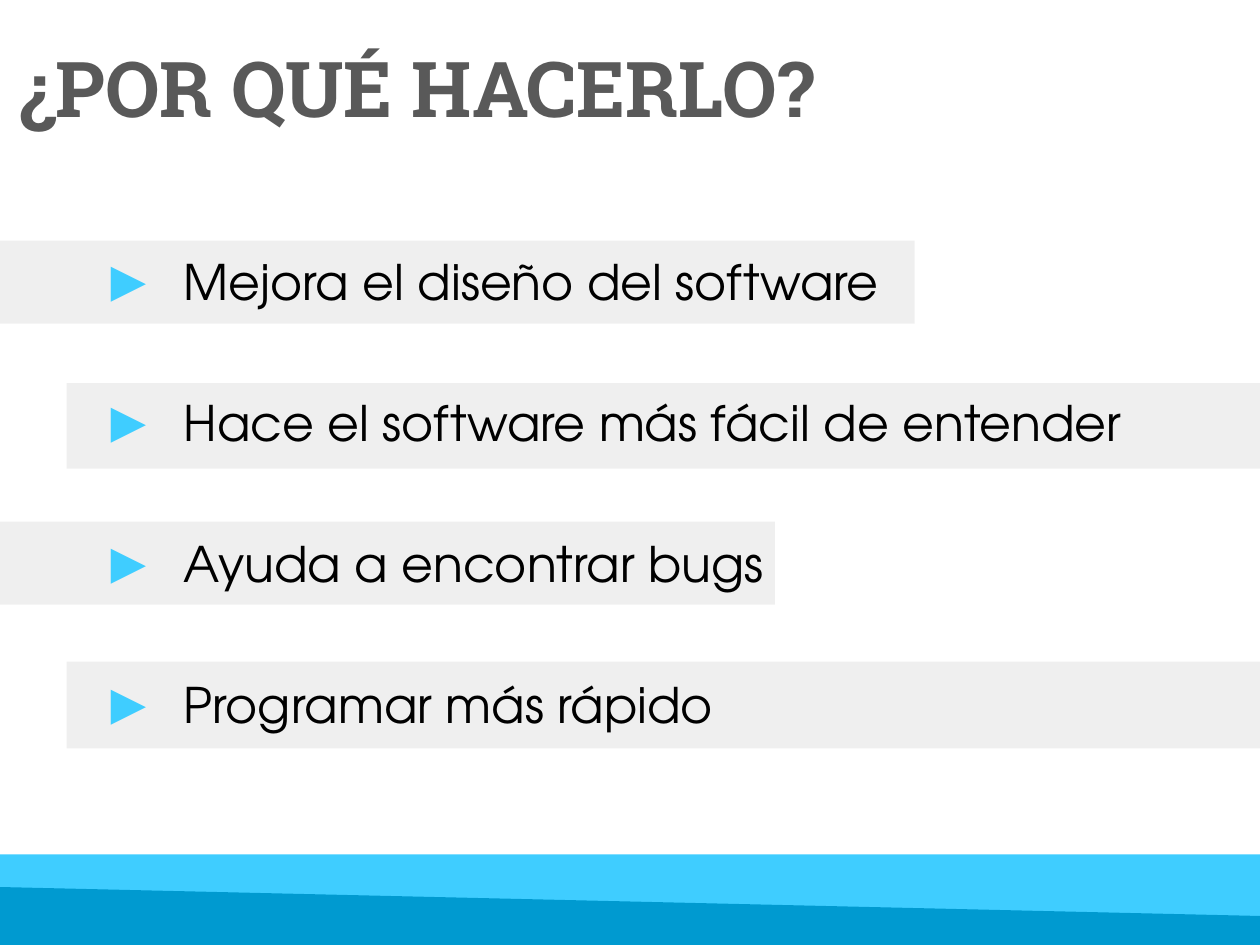
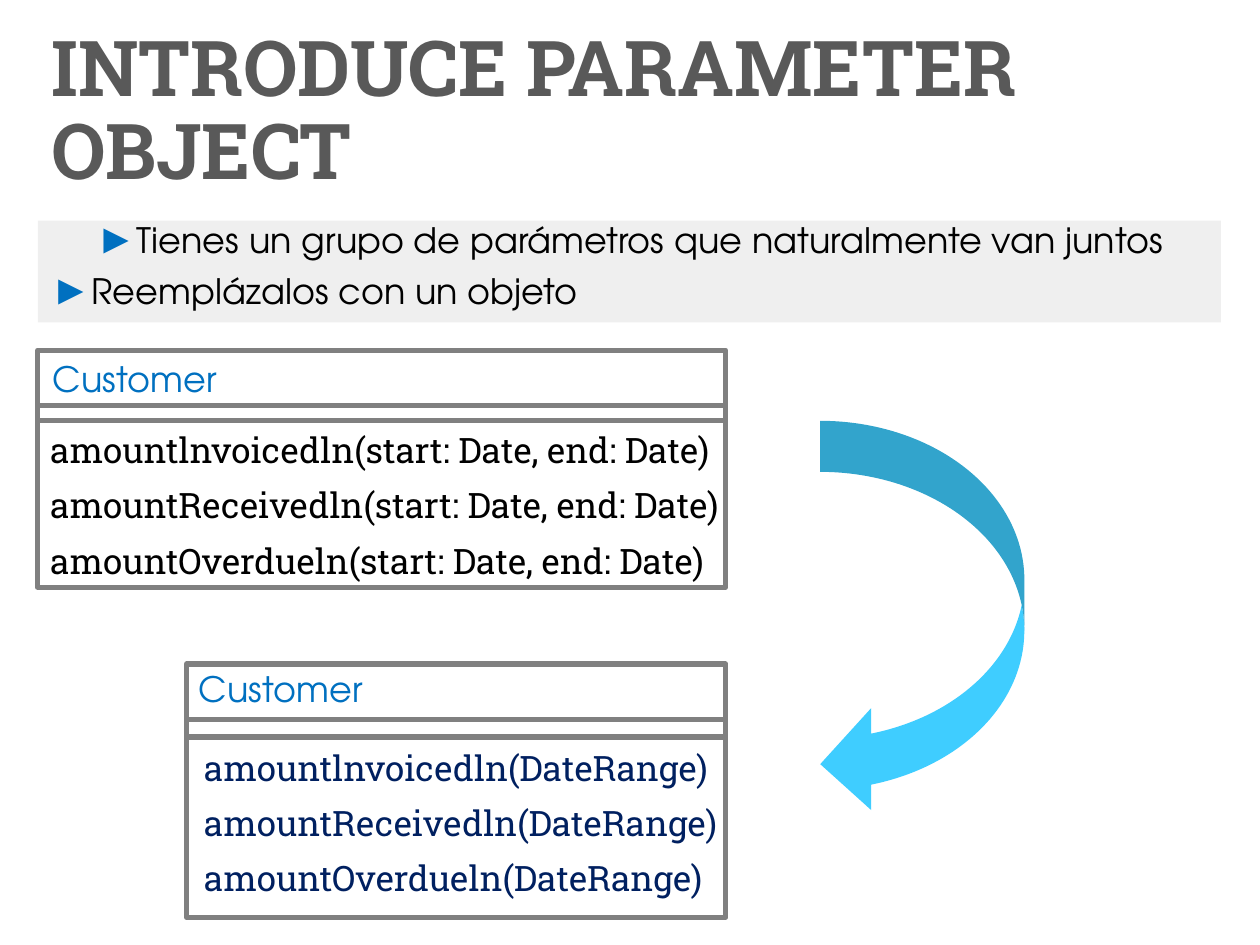
from itertools import pairwise

from lxml.etree import SubElement
from pptx import Presentation
from pptx.dml.color import RGBColor
from pptx.enum.shapes import MSO_SHAPE
from pptx.enum.text import MSO_ANCHOR
from pptx.oxml.ns import qn
from pptx.util import Inches, Pt

COLORS = {
    "title": "595959",
    "text": "000000",
    "band": "D9D9D9",
    "sky": "3FCDFF",
    "ocean": "009AD0",
    "accent": "0070C0",
    "navy": "002060",
    "border": "808080",
}
SLAB = "Roboto Slab"
SANS = "TeX Gyre Adventor"


def rgb(name):
    return RGBColor.from_string(COLORS[name])


def set_bullet(p, color, indent):
    pPr = p._p.get_or_add_pPr()
    pPr.set("marL", str(Inches(indent)))
    pPr.set("indent", str(-Inches(indent)))
    clr = SubElement(pPr, qn("a:buClr"))
    SubElement(clr, qn("a:srgbClr"), val=COLORS[color])
    SubElement(pPr, qn("a:buSzPct"), val="120000")
    SubElement(pPr, qn("a:buFont"), typeface="Arial")
    SubElement(pPr, qn("a:buChar"), char="►")


def write(sp, lines, font=SANS, size=20, color="text", bold=False, spacing=0.9,
          gap=10, anchor=MSO_ANCHOR.TOP, bullet=None, indent=0.25):
    """Fill a shape with one paragraph per line; gap is the space between them."""
    tf = sp.text_frame
    tf.word_wrap = True
    tf.vertical_anchor = anchor
    for i, line in enumerate(lines):
        p = tf.add_paragraph() if i else tf.paragraphs[0]
        p.line_spacing = spacing
        p.space_before = Pt(gap if i else 0)
        if bullet:
            set_bullet(p, bullet, indent)
        r = p.add_run()
        r.text = line
        r.font.name = font
        r.font.size = Pt(size)
        r.font.bold = bold
        r.font.color.rgb = rgb(color)


def add_text(s, left, top, width, height, lines, **style):
    box = s.shapes.add_textbox(*map(Inches, (left, top, width, height)))
    write(box, lines, **style)


def add_title(s, left, top, width, text):
    add_text(s, left, top, width, 1.45, [text], font=SLAB, size=44,
             color="title", bold=True, anchor=MSO_ANCHOR.MIDDLE)


def paint(sp, fill=None, line=None, alpha=None):
    sp.shadow.inherit = False
    if fill:
        sp.fill.solid()
        sp.fill.fore_color.rgb = rgb(fill)
        if alpha:
            clr = sp.fill._xPr.find(qn("a:solidFill")).find(qn("a:srgbClr"))
            SubElement(clr, qn("a:alpha"), val=str(alpha * 1000))
    else:
        sp.fill.background()
    if line:
        sp.line.color.rgb = rgb(line)
        sp.line.width = Pt(3)
    else:
        sp.line.fill.background()


def add_shape(s, left, top, width, height, kind=MSO_SHAPE.RECTANGLE, **look):
    sp = s.shapes.add_shape(kind, *map(Inches, (left, top, width, height)))
    paint(sp, **look)
    return sp


def add_band(s, left, top, width, height):
    return add_shape(s, left, top, width, height, fill="band", alpha=40)


def add_footer(s):
    add_shape(s, 0, 6.78, 10, 0.72, fill="sky")
    corners = [(0, 7.04), (10, 7.27), (10, 7.5), (0, 7.5)]
    start, *rest = [(Inches(x), Inches(y)) for x, y in corners]
    builder = s.shapes.build_freeform(*start)
    builder.add_line_segments(rest)
    paint(builder.convert_to_shape(), fill="ocean")


def add_class_box(s, left, width, edges, name_at, methods_at, methods, color):
    """Draw a class diagram whose sections lie between successive edges."""
    for top, bottom in pairwise(edges):
        add_shape(s, left, top, width, bottom - top, line="border")
    add_text(s, *name_at, 1.97, 0.44, ["Customer"], color="accent")
    add_text(s, *methods_at, 5.65, 1.38, methods, font=SLAB, color=color)


def build_reasons(s):
    bands = [(0, 1.91, 7.26, 0.66), (0.53, 3.04, 9.47, 0.68),
             (0, 4.14, 6.15, 0.66), (0.53, 5.25, 9.47, 0.69)]
    for band in bands:
        add_band(s, *band)
    reasons = ["Mejora el diseño del software",
               "Hace el software más fácil de entender",
               "Ayuda a encontrar bugs",
               "Programar más rápido"]
    add_text(s, 0.69, 2, 9, 4.76, reasons, size=28, gap=50.3,
             bullet="sky", indent=0.67)
    add_title(s, 0.06, 0.01, 9.75, "¿POR QUÉ HACERLO?")
    add_footer(s)


def build_parameter_object(s):
    add_title(s, 0.31, 0.17, 8.32, "INTRODUCE PARAMETER OBJECT")
    summary = ["Tienes un grupo de parámetros que naturalmente van juntos",
               "Reemplázalos con un objeto"]
    write(add_band(s, 0.3, 1.75, 9.39, 0.81), summary, spacing=0.8,
          bullet="accent")

    methods = ["amountlnvoicedln", "amountReceivedln", "amountOverdueln"]
    add_class_box(s, 0.3, 5.46, [2.78, 3.22, 3.34, 4.66],
                  (0.32, 2.83), (0.3, 3.39),
                  [f"{m}(start: Date, end: Date)" for m in methods], "text")
    add_class_box(s, 1.48, 4.28, [5.27, 5.71, 5.85, 7.28],
                  (1.48, 5.29), (1.52, 5.91),
                  [f"{m}(DateRange)" for m in methods], "navy")
    add_shape(s, 6.51, 3.34, 1.62, 3.13, MSO_SHAPE.CURVED_LEFT_ARROW, fill="sky")


def main():
    prs = Presentation()
    prs.slide_width = Inches(10)
    prs.slide_height = Inches(7.5)
    for build in (build_reasons, build_parameter_object):
        build(prs.slides.add_slide(prs.slide_layouts[6]))
    prs.save("out.pptx")


if __name__ == "__main__":
    main()
